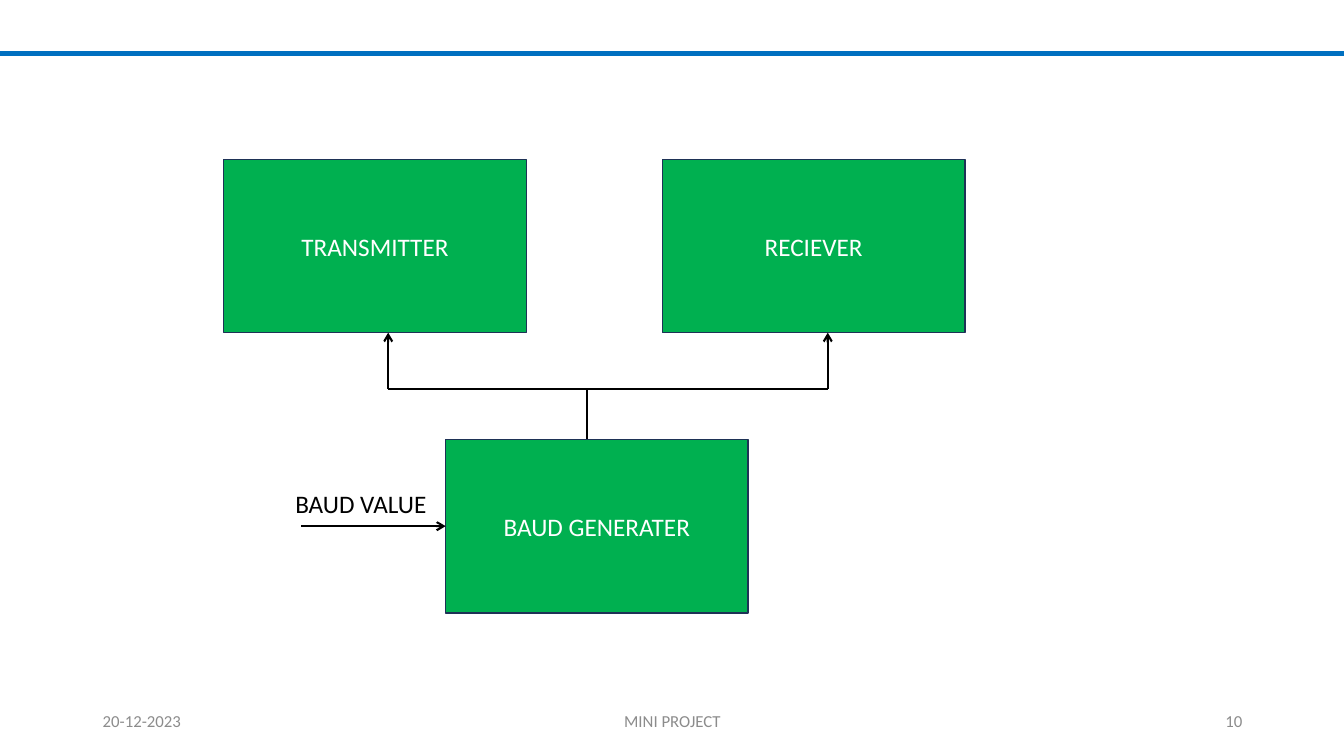
import pptx
import pptx.dml.color
import pptx.enum.shapes
import pptx.enum.text
import pptx.oxml
import pptx.oxml.ns
import pptx.util

Inches = pptx.util.Inches
ALIGN = pptx.enum.text.PP_ALIGN
ANCHOR = pptx.enum.text.MSO_ANCHOR

SLIDE_WIDTH, SLIDE_HEIGHT = 13.33, 7.5
BLOCK_WIDTH, BLOCK_HEIGHT = 3, 1.72
BLACK, GREY, WHITE = "000000", "8C8C8C", "FFFFFF"
BLUE, GREEN, NAVY = "0070C0", "00B050", "1E3256"


def rgb(hex_colour):
    return pptx.dml.color.RGBColor.from_string(hex_colour)


def write(shape, text, size, colour, align, anchor):
    frame = shape.text_frame
    frame.word_wrap = True
    frame.vertical_anchor = anchor
    paragraph = frame.paragraphs[0]
    paragraph.alignment = align
    run = paragraph.add_run()
    run.text = text
    font_format = {"name": "Calibri", "size": pptx.util.Pt(size)}
    for attribute, value in font_format.items():
        setattr(run.font, attribute, value)
    run.font.color.rgb = rgb(colour)


def add_label(slide, box, text, size, colour, align=ALIGN.LEFT, anchor=ANCHOR.TOP):
    label = slide.shapes.add_textbox(*map(Inches, box))
    write(label, text, size, colour, align, anchor)


def add_block(slide, left, top, text):
    block = slide.shapes.add_shape(
        pptx.enum.shapes.MSO_SHAPE.RECTANGLE,
        *map(Inches, (left, top, BLOCK_WIDTH, BLOCK_HEIGHT)))
    block.shadow.inherit = False
    block.fill.solid()
    block.fill.fore_color.rgb = rgb(GREEN)
    block.line.color.rgb = rgb(NAVY)
    block.line.width = pptx.util.Pt(1)
    write(block, text, 18, WHITE, ALIGN.CENTER, ANCHOR.MIDDLE)
    return block


def add_wire(slide, start, end, colour=BLACK, width=1.5, arrow=False):
    wire = slide.shapes.add_connector(
        pptx.enum.shapes.MSO_CONNECTOR.STRAIGHT, *map(Inches, start + end))
    wire.line.color.rgb = rgb(colour)
    wire.line.width = pptx.util.Pt(width)
    if arrow:
        head = pptx.oxml.parse_xml(
            f'<a:tailEnd {pptx.oxml.ns.nsdecls("a")} type="arrow"/>')
        wire.line._get_or_add_ln().append(head)
    wire._element.spPr.append(
        pptx.oxml.parse_xml(f'<a:effectLst {pptx.oxml.ns.nsdecls("a")}/>'))
    return wire


def add_header_rule(slide, top):
    add_wire(slide, (0, top), (SLIDE_WIDTH, top), BLUE, 3)


def add_footer(slide, left, top, width, height):
    side_width, middle_width = 3, 4.5
    fields = [
        (left, side_width, "20-12-2023", ALIGN.LEFT),
        (left + (width - middle_width) / 2, middle_width, "MINI PROJECT", ALIGN.CENTER),
        (left + width - side_width, side_width, "10", ALIGN.RIGHT),
    ]
    for field_left, field_width, text, align in fields:
        add_label(slide, (field_left, top, field_width, height), text, 12, GREY,
                  align, ANCHOR.MIDDLE)


def add_baud_diagram(slide, left, top):
    """Draw a generator that feeds the two blocks above it through a shared bus."""
    receiver_left = left + 4.35
    generator_left, generator_top = left + 2.2, top + 2.78
    bus_top = top + 2.28
    bus_left, bus_right = left + 1.63, left + 5.99
    stem = left + 3.6
    input_top = generator_top + BLOCK_HEIGHT / 2

    add_block(slide, receiver_left, top, "RECIEVER")
    add_block(slide, left, top, "TRANSMITTER")
    generator = add_block(slide, generator_left, generator_top, "BAUD GENERATER")

    for branch in (bus_left, bus_right):
        add_wire(slide, (branch, bus_top), (branch, top + BLOCK_HEIGHT), arrow=True)
    add_wire(slide, (bus_left, bus_top), (bus_right, bus_top))
    add_wire(slide, (stem, bus_top), (stem, generator_top))

    baud_input = add_wire(slide, (left + 0.77, input_top),
                          (generator_left, input_top), arrow=True)
    baud_input.end_connect(generator, 1)
    add_label(slide, (left + 0.61, input_top - 0.42, 1.51, 0.4), "BAUD VALUE", 18, BLACK)


def main():
    deck = pptx.Presentation()
    deck.slide_width, deck.slide_height = Inches(SLIDE_WIDTH), Inches(SLIDE_HEIGHT)
    slide = deck.slides.add_slide(deck.slide_layouts.get_by_name("Blank"))
    add_footer(slide, 0.92, 6.95, 11.5, 0.4)
    add_header_rule(slide, 0.53)
    add_baud_diagram(slide, 2.22, 1.58)
    deck.save("out.pptx")


if __name__ == "__main__":
    main()
